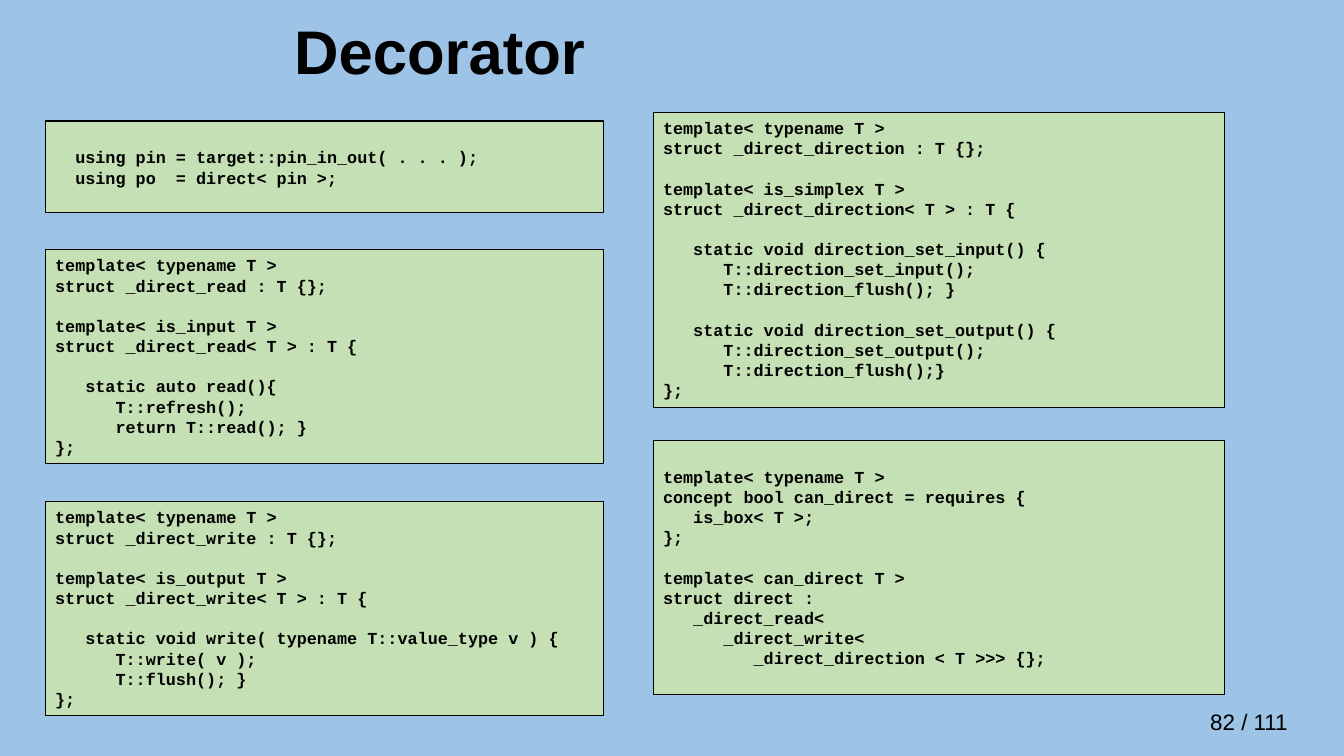
from dataclasses import dataclass

from pptx import Presentation
from pptx.dml.color import RGBColor as Rgb
from pptx.enum.shapes import MSO_SHAPE as Kind
from pptx.enum.text import MSO_ANCHOR as Anchor, MSO_AUTO_SIZE as Fit, PP_ALIGN as Align
from pptx.slide import Slide
from pptx.text.text import TextFrame, _Paragraph as Para
from pptx.util import Cm, Pt


@dataclass(frozen=True)
class Theme:
    back: Rgb = Rgb(0x9D, 0xC3, 0xE6)
    panel: Rgb = Rgb(0xC5, 0xE0, 0xB4)
    ink: Rgb = Rgb(0, 0, 0)
    sans: str = "Arial"
    mono: str = "Courier New"
    title: float = 44
    page: float = 16
    code: float = 12
    pitch: float = 14.4
    edge: float = 0.75


@dataclass(frozen=True)
class Box:
    """A rectangle in centimetres."""
    left: float
    top: float
    width: float
    height: float


@dataclass(frozen=True)
class Panel:
    """A code listing; inset is the space above its first line."""
    box: Box
    code: str
    inset: float = 0.13


THEME = Theme()
LEFT, LEFT_W = 1.14, 14.07
RIGHT, RIGHT_W = 16.46, 14.4
LOW = 0.66

PANELS = [
    Panel(Box(LEFT, 3.05, LEFT_W, 2.31), """\
  using pin = target::pin_in_out( . . . );
  using po  = direct< pin >;""", LOW),
    Panel(Box(LEFT, 6.3, LEFT_W, 5.38), """\
template< typename T >
struct _direct_read : T {};

template< is_input T >
struct _direct_read< T > : T {

   static auto read(){
      T::refresh();
      return T::read(); }
};"""),
    Panel(Box(LEFT, 12.65, LEFT_W, 5.38), """\
template< typename T >
struct _direct_write : T {};

template< is_output T >
struct _direct_write< T > : T {

   static void write( typename T::value_type v ) {
      T::write( v );
      T::flush(); }
};"""),
    Panel(Box(RIGHT, 2.84, RIGHT_W, 7.44), """\
template< typename T >
struct _direct_direction : T {};

template< is_simplex T >
struct _direct_direction< T > : T {

   static void direction_set_input() {
      T::direction_set_input();
      T::direction_flush(); }

   static void direction_set_output() {
      T::direction_set_output();
      T::direction_flush();}
};"""),
    Panel(Box(RIGHT, 11.1, RIGHT_W, 6.4), """\
template< typename T >
concept bool can_direct = requires {
   is_box< T >;
};

template< can_direct T >
struct direct :
   _direct_read<
      _direct_write<
         _direct_direction < T >>> {};""", LOW),
]


def place(box: Box) -> tuple[Cm, Cm, Cm, Cm]:
    return Cm(box.left), Cm(box.top), Cm(box.width), Cm(box.height)


def add_run(para: Para, text: str, face: str, size: float, bold: bool) -> None:
    para.alignment = Align.LEFT
    run = para.add_run()
    run.text = text
    font = run.font
    font.name, font.size, font.bold = face, Pt(size), bold
    font.color.rgb = THEME.ink


def add_code(frame: TextFrame, code: str) -> None:
    """Write one paragraph a line; an empty line becomes space before the next."""
    para, gap = frame.paragraphs[0], False
    for num, line in enumerate(code.split("\n")):
        if not line:
            gap = True
            continue
        if num:
            para = frame.add_paragraph()
        para.line_spacing = Pt(THEME.pitch)
        para.space_before = Pt(THEME.pitch if gap else 0)
        add_run(para, line, THEME.mono, THEME.code, True)
        gap = False


def add_panel(slide: Slide, panel: Panel) -> None:
    shape = slide.shapes.add_shape(Kind.RECTANGLE, *place(panel.box))
    shape.shadow.inherit = False
    shape.fill.solid()
    shape.fill.fore_color.rgb = THEME.panel
    shape.line.color.rgb = THEME.ink
    shape.line.width = Pt(THEME.edge)
    frame = shape.text_frame
    frame.word_wrap = True
    frame.vertical_anchor = Anchor.TOP
    frame.margin_top = Cm(panel.inset)
    add_code(frame, panel.code)


def add_title(slide: Slide, text: str, box: Box) -> None:
    title = slide.shapes.title
    title.left, title.top, title.width, title.height = place(box)
    frame = title.text_frame
    frame.auto_size = Fit.NONE
    frame.vertical_anchor = Anchor.MIDDLE
    para = frame.paragraphs[0]
    para.line_spacing = 0.9
    add_run(para, text, THEME.sans, THEME.title, True)


def add_page(slide: Slide, text: str, box: Box) -> None:
    frame = slide.shapes.add_textbox(*place(box)).text_frame
    frame.word_wrap = True
    add_run(frame.paragraphs[0], text, THEME.sans, THEME.page, False)


def main() -> None:
    deck = Presentation()
    deck.slide_width, deck.slide_height = Cm(33.87), Cm(19.05)
    slide = deck.slides.add_slide(deck.slide_layouts[5])
    slide.background.fill.solid()
    slide.background.fill.fore_color.rgb = THEME.back
    add_page(slide, "82 / 111", Box(30.25, 17.73, 3.18, 0.94))
    add_title(slide, "Decorator", Box(7.16, -0.46, 29.21, 3.68))
    for panel in PANELS:
        add_panel(slide, panel)
    deck.save("out.pptx")


if __name__ == "__main__":
    main()
